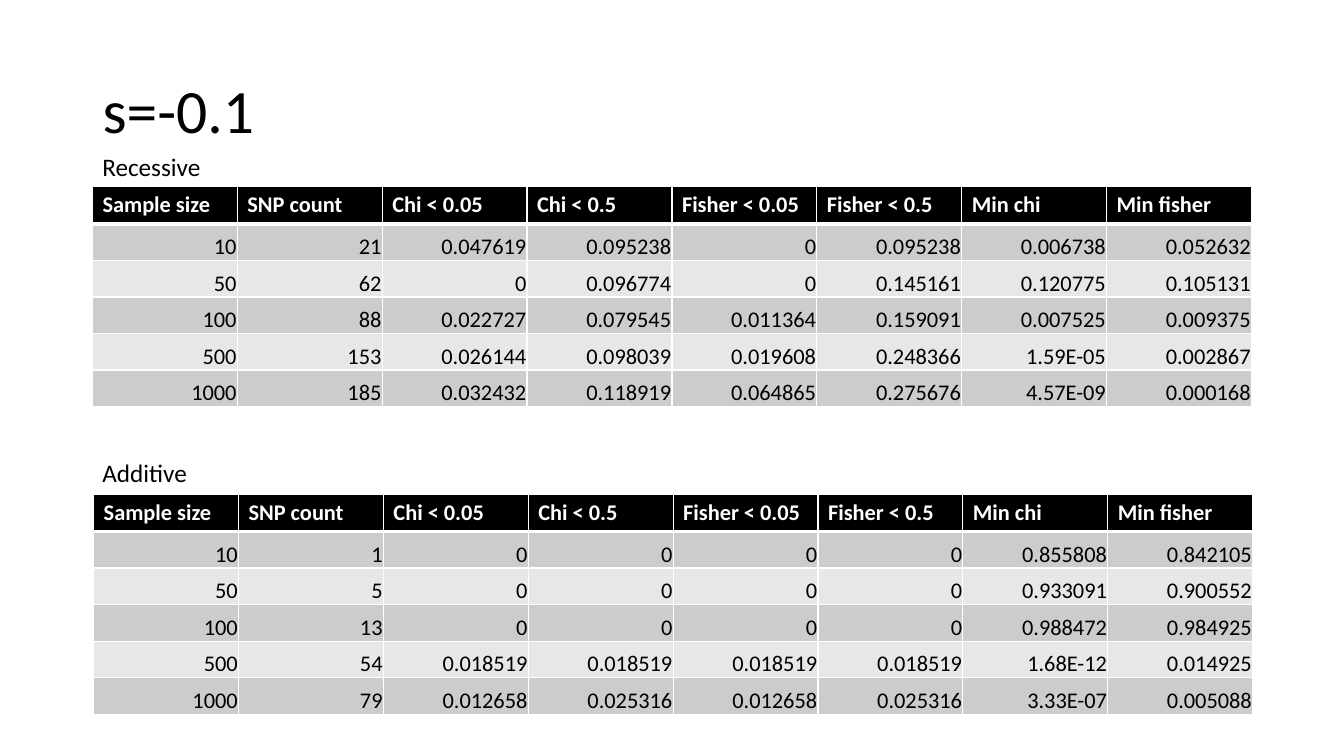
from lxml.etree import SubElement
from pptx import Presentation
from pptx.dml.color import RGBColor
from pptx.enum.text import MSO_ANCHOR as Anchor, MSO_AUTO_SIZE as AutoSize, PP_ALIGN as Align
from pptx.oxml.ns import qn
from pptx.util import Cm, Pt

BLACK = RGBColor(0x00, 0x00, 0x00)
WHITE = RGBColor(0xFF, 0xFF, 0xFF)
DARK_BAND = RGBColor(0xCC, 0xCC, 0xCC)
LIGHT_BAND = RGBColor(0xE7, 0xE7, 0xE7)

HEADERS = ["Sample size", "SNP count", "Chi < 0.05", "Chi < 0.5",
           "Fisher < 0.05", "Fisher < 0.5", "Min chi", "Min fisher"]
RECESSIVE = [
    ["10", "21", "0.047619", "0.095238", "0", "0.095238", "0.006738", "0.052632"],
    ["50", "62", "0", "0.096774", "0", "0.145161", "0.120775", "0.105131"],
    ["100", "88", "0.022727", "0.079545", "0.011364", "0.159091", "0.007525", "0.009375"],
    ["500", "153", "0.026144", "0.098039", "0.019608", "0.248366", "1.59E-05", "0.002867"],
    ["1000", "185", "0.032432", "0.118919", "0.064865", "0.275676", "4.57E-09", "0.000168"],
]
ADDITIVE = [
    ["10", "1", "0", "0", "0", "0", "0.855808", "0.842105"],
    ["50", "5", "0", "0", "0", "0", "0.933091", "0.900552"],
    ["100", "13", "0", "0", "0", "0", "0.988472", "0.984925"],
    ["500", "54", "0.018519", "0.018519", "0.018519", "0.018519", "1.68E-12", "0.014925"],
    ["1000", "79", "0.012658", "0.025316", "0.012658", "0.025316", "3.33E-07", "0.005088"],
]


class ResultsPage:
    """Style and drawing methods for one slide."""
    font = "Calibri"
    table_width = Cm(29.21)
    row_height = Cm(0.92)

    def __init__(self, deck):
        self.page = deck.slides.add_slide(deck.slide_layouts[5])

    def style(self, para, size, color=BLACK, bold=False, align=Align.LEFT):
        para.alignment = align
        for span in para.runs:
            span.font.name = self.font
            span.font.size = Pt(size)
            span.font.bold = bold
            span.font.color.rgb = color

    def title(self, text, left, top, width, height):
        box = self.page.shapes.title
        box.left, box.top, box.width, box.height = left, top, width, height
        box.text_frame.text = text
        box.text_frame.vertical_anchor = Anchor.MIDDLE
        para = box.text_frame.paragraphs[0]
        para.line_spacing = 0.9
        self.style(para, 44)

    def label(self, text, left, top, width, height):
        box = self.page.shapes.add_textbox(left, top, width, height)
        frame = box.text_frame
        frame.word_wrap = False
        frame.auto_size = AutoSize.SHAPE_TO_FIT_TEXT
        frame.text = text
        self.style(frame.paragraphs[0], 18)

    def borders(self, cell, top, bottom):
        """White cell borders; widths in points."""
        widths = {"a:lnL": 1, "a:lnR": 1, "a:lnT": top, "a:lnB": bottom}
        properties = cell._tc.get_or_add_tcPr()
        for place, (side, width) in enumerate(widths.items()):
            line = SubElement(properties, qn(side), w=str(Pt(width)))
            fill = SubElement(line, qn("a:solidFill"))
            SubElement(fill, qn("a:srgbClr"), val=str(WHITE))
            properties.insert(place, line)

    def header_cell(self, cell, text):
        cell.text = text
        cell.fill.solid()
        cell.fill.fore_color.rgb = BLACK
        self.style(cell.text_frame.paragraphs[0], 16, WHITE, bold=True)
        self.borders(cell, top=1, bottom=3)

    def value_cell(self, cell, text, row):
        cell.text = text
        cell.fill.solid()
        cell.fill.fore_color.rgb = DARK_BAND if row % 2 else LIGHT_BAND
        cell.vertical_anchor = Anchor.BOTTOM
        cell.margin_left = cell.margin_right = cell.margin_top = Cm(0.02)
        cell.margin_bottom = 0
        self.style(cell.text_frame.paragraphs[0], 16, align=Align.RIGHT)
        self.borders(cell, top=3 if row == 1 else 1, bottom=1)

    def table(self, values, left, top):
        rows = len(values) + 1
        table = self.page.shapes.add_table(
            rows, len(HEADERS), left, top, self.table_width, self.row_height * rows).table
        for column, header in enumerate(HEADERS):
            self.header_cell(table.cell(0, column), header)
        for row, record in enumerate(values, start=1):
            for column, value in enumerate(record):
                self.value_cell(table.cell(row, column), value, row)


def main():
    deck = Presentation()
    deck.slide_width, deck.slide_height = Cm(33.87), Cm(19.05)
    results = ResultsPage(deck)

    # Title
    results.title("s=-0.1", Cm(2.33), Cm(1.01), Cm(29.21), Cm(3.68))

    # Result tables
    results.table(RECESSIVE, Cm(2.33), Cm(4.7))
    results.table(ADDITIVE, Cm(2.36), Cm(12.45))

    # Table labels
    results.label("Recessive", Cm(2.33), Cm(3.68), Cm(3.02), Cm(1.02))
    results.label("Additive", Cm(2.33), Cm(11.4), Cm(2.67), Cm(1.02))

    deck.save("out.pptx")


if __name__ == "__main__":
    main()
